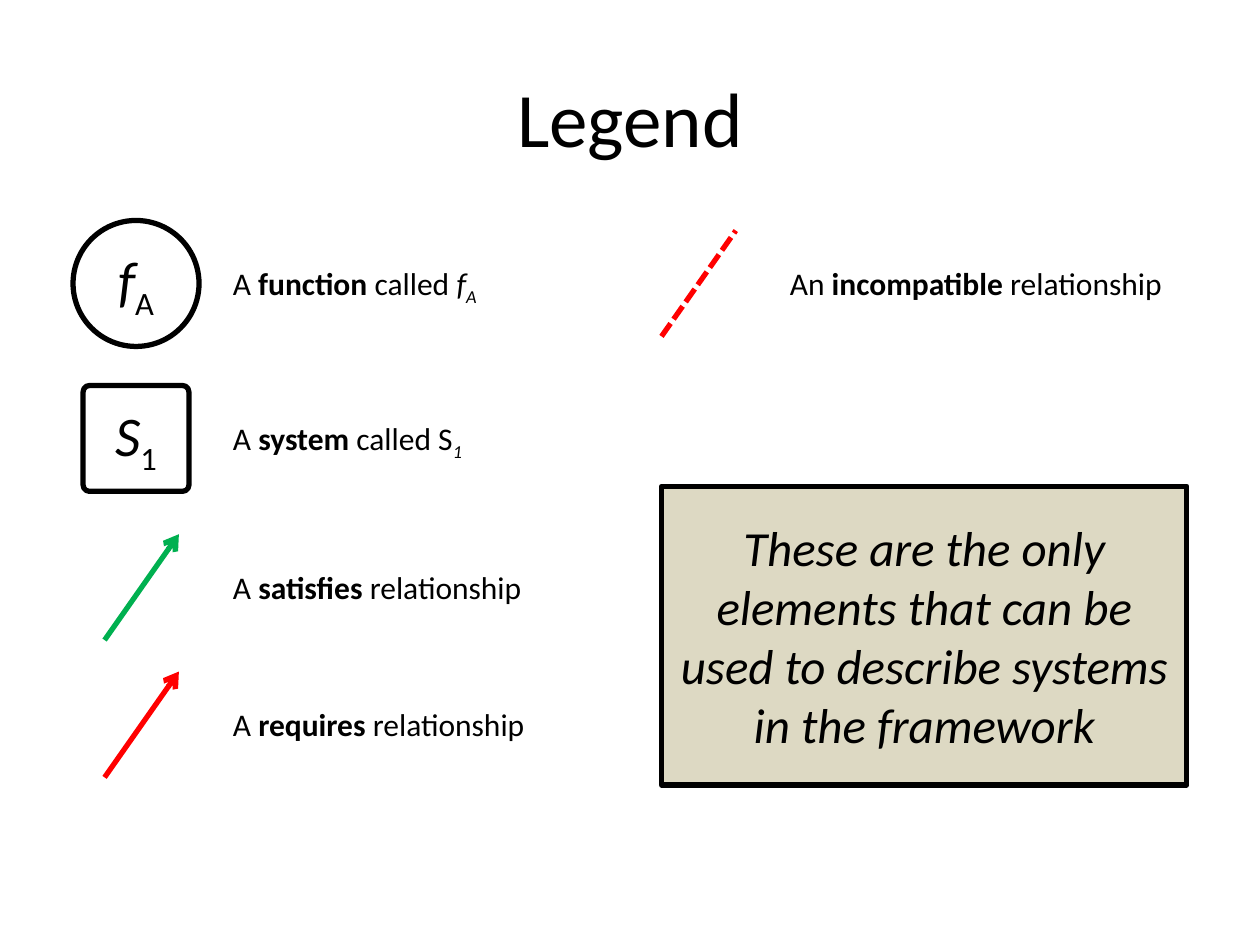
from dataclasses import dataclass

from lxml.etree import SubElement
from pptx import Presentation
from pptx.dml.color import RGBColor
from pptx.enum.dml import MSO_LINE as Dash
from pptx.enum.shapes import MSO_CONNECTOR as Connector, MSO_SHAPE as Shape
from pptx.enum.text import MSO_ANCHOR as Anchor, MSO_AUTO_SIZE as AutoSize, PP_ALIGN as Align
from pptx.oxml.ns import qn
from pptx.util import Pt

PX = 9144  # EMU per px, 100 px to the inch


@dataclass(frozen=True)
class Theme:
    font: str = "Calibri"
    ink: str = "000000"
    satisfies: str = "00B050"
    conflict: str = "FF0000"
    note_fill: str = "DDD9C3"
    title_size: int = 44
    symbol_size: int = 32
    note_size: int = 28
    label_size: int = 18
    line_width: int = 3


THEME = Theme()
ROW_HEIGHT = 84
SYMBOL_WIDTH = 59
LABEL_OFFSET = 92
LABEL_HEIGHT = 40


def emu(*lengths):
    return [length * PX for length in lengths]


def add_runs(para, size, *pieces):
    """Each piece is (text, style); style letters: b bold, i italic, s subscript."""
    for text, style in pieces:
        span = para.add_run()
        span.text = text
        font = span.font
        font.name, font.size = THEME.font, Pt(size)
        font.color.rgb = RGBColor.from_string(THEME.ink)
        font.bold, font.italic = "b" in style, "i" in style
        if "s" in style:
            font._element.set("baseline", "-25000")


def style_line(line, color):
    line.color.rgb = RGBColor.from_string(color)
    line.width = Pt(THEME.line_width)


def add_title(page, box, text):
    title = page.shapes.title
    title.left, title.top, title.width, title.height = emu(*box)
    frame = title.text_frame
    frame.vertical_anchor = Anchor.MIDDLE
    para = frame.paragraphs[0]
    para.alignment = Align.CENTER
    add_runs(para, THEME.title_size, (text, ""))


def add_outlined(page, kind, box, size, *pieces, fill=None):
    shape = page.shapes.add_shape(kind, *emu(*box))
    shape.shadow.inherit = False
    if fill:
        shape.fill.solid()
        shape.fill.fore_color.rgb = RGBColor.from_string(fill)
    else:
        shape.fill.background()
    style_line(shape.line, THEME.ink)
    frame = shape.text_frame
    frame.word_wrap = True
    frame.vertical_anchor = Anchor.MIDDLE
    para = frame.paragraphs[0]
    para.alignment = Align.CENTER
    add_runs(para, size, *pieces)
    return shape


def add_node(page, kind, center, side, *pieces):
    x, y = center
    box = (x - side // 2, y - side // 2, side, side)
    return add_outlined(page, kind, box, THEME.symbol_size, *pieces)


def add_relation(page, left, middle, color, dashed=False):
    """Rising line: dashed and plain, or solid with an arrowhead at the top."""
    half = ROW_HEIGHT // 2
    line = page.shapes.add_connector(
        Connector.STRAIGHT, *emu(left, middle + half, left + SYMBOL_WIDTH, middle - half))
    style_line(line.line, color)
    if dashed:
        line.line.dash_style = Dash.SQUARE_DOT
    else:
        SubElement(line.line._get_or_add_ln(), qn("a:tailEnd"), type="arrow")
    SubElement(line._element.spPr, qn("a:effectLst"))


def add_label(page, left, middle, width, *pieces):
    box = (left + LABEL_OFFSET, middle - LABEL_HEIGHT // 2, width, LABEL_HEIGHT)
    frame = page.shapes.add_textbox(*emu(*box)).text_frame
    frame.word_wrap = False
    frame.auto_size = AutoSize.SHAPE_TO_FIT_TEXT
    add_runs(frame.paragraphs[0], THEME.label_size, *pieces)


def add_elements(page, left, middles):
    """Symbols and labels for the function and the system."""
    center = left + 25
    function_y, system_y = middles
    add_node(page, Shape.OVAL, (center, function_y), 100, ("f", "i"), ("A", "s"))
    add_label(page, left, function_y, 217,
              ("A ", ""), ("function", "b"), (" called ", ""), ("f", "i"), ("A", "is"))
    system = add_node(page, Shape.ROUNDED_RECTANGLE, (center, system_y), ROW_HEIGHT,
                      ("S", "i"), ("1", "s"))
    system.adjustments[0] = 0.06
    add_label(page, left, system_y, 205,
              ("A ", ""), ("system", "b"), (" called S", ""), ("1", "is"))


def add_relations(page, rows):
    for left, middle, width, article, name, color, dashed in rows:
        add_relation(page, left, middle, color, dashed)
        add_label(page, left, middle, width,
                  (article, ""), (name, "b"), (" relationship", ""))


def main():
    deck = Presentation()
    deck.slide_width, deck.slide_height = emu(1000, 750)
    page = deck.slides.add_slide(deck.slide_layouts[5])
    left, right = 83, 525
    add_title(page, (50, 30, 900, 125), "Legend")
    add_elements(page, left, (225, 348))
    add_relations(page, (
        (left, 466, 252, "A ", "satisfies", THEME.satisfies, False),
        (left, 575, 252, "A ", "requires", THEME.conflict, False),
        (right, 225, 318, "An ", "incompatible", THEME.conflict, True),
    ))
    add_outlined(
        page, Shape.RECTANGLE, (right, 386, 417, 237), THEME.note_size,
        ("These are the only elements that can be used to describe systems in the framework", "i"),
        fill=THEME.note_fill)
    deck.save("out.pptx")


if __name__ == "__main__":
    main()
